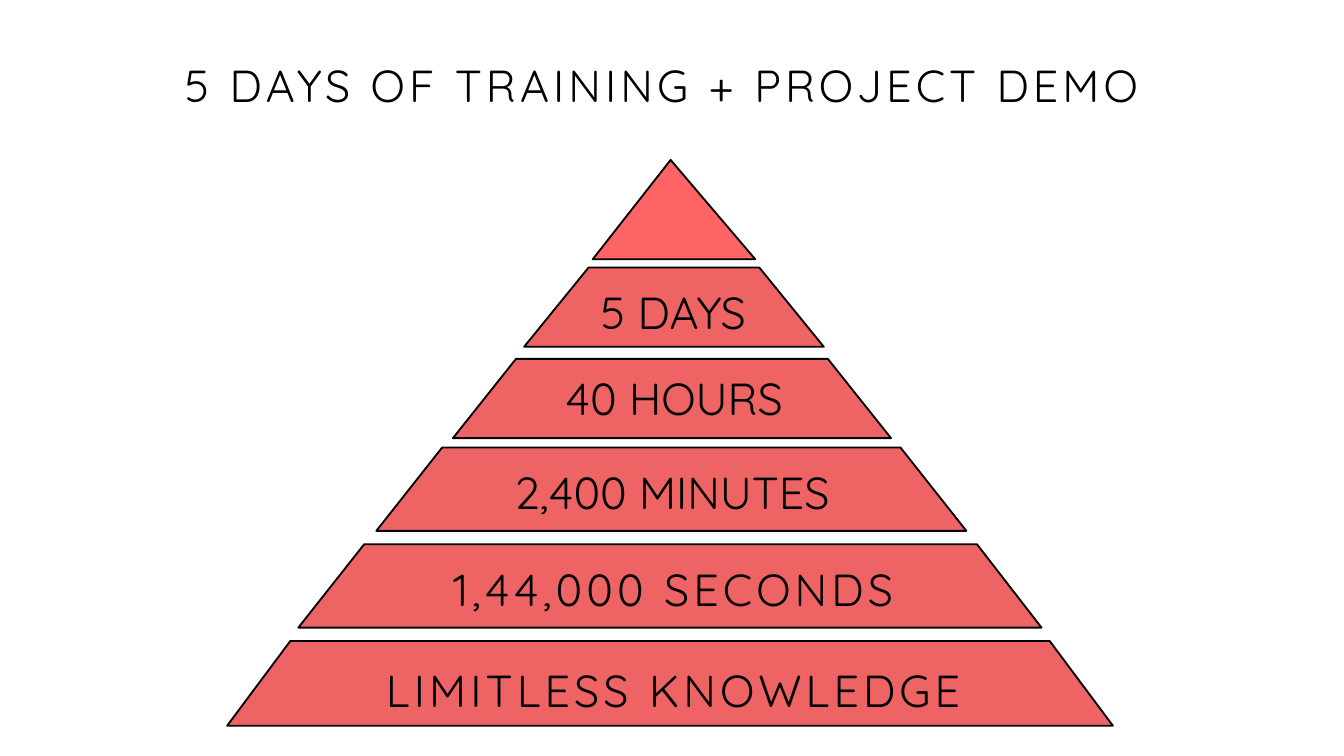
from dataclasses import dataclass

from pptx import Presentation
from pptx.dml.color import RGBColor
from pptx.enum.text import MSO_ANCHOR as Anchor, PP_ALIGN as Align
from pptx.slide import Slide
from pptx.util import Inches, Pt

FONT = "Quicksand"
BLACK = "000000"
CORAL = "EE6464"
BRIGHT_CORAL = "FF6464"


@dataclass(frozen=True)
class Label:
    text: str
    left: float
    top: float
    width: float
    height: float
    spacing: float = 0
    line_spacing: float = 1.0
    inset_right: float = 0
    inset_bottom: float = 0


@dataclass(frozen=True)
class Tier:
    top: float
    bottom: float
    top_left: float
    top_right: float
    bottom_left: float
    bottom_right: float
    label: Label | None = None
    fill: str = CORAL


def color(value: str) -> RGBColor:
    return RGBColor.from_string(value)


def draw_label(slide: Slide, label: Label) -> None:
    box = slide.shapes.add_textbox(
        Inches(label.left), Inches(label.top), Inches(label.width), Inches(label.height)
    )
    frame = box.text_frame
    frame.text = label.text
    frame.word_wrap = True
    frame.vertical_anchor = Anchor.MIDDLE
    frame.margin_left = frame.margin_top = Inches(0)
    frame.margin_right = Inches(label.inset_right)
    frame.margin_bottom = Inches(label.inset_bottom)
    line = frame.paragraphs[0]
    line.alignment = Align.CENTER
    line.line_spacing = label.line_spacing
    words = line.runs[0]
    words.font.name = FONT
    words.font.size = Pt(24)
    words.font.color.rgb = color(BLACK)
    if label.spacing:
        words.font._element.set("spc", str(round(label.spacing * 100)))


def draw_tier(slide: Slide, tier: Tier) -> None:
    corners = [(tier.top_left, tier.top)]
    if tier.top_right > tier.top_left:
        corners.append((tier.top_right, tier.top))
    corners.append((tier.bottom_right, tier.bottom))
    outline = slide.shapes.build_freeform(
        Inches(tier.bottom_left), Inches(tier.bottom), scale=1.0
    )
    outline.add_line_segments([(Inches(x), Inches(y)) for x, y in corners], close=True)
    block = outline.convert_to_shape()
    block.shadow.inherit = False
    block.fill.solid()
    block.fill.fore_color.rgb = color(tier.fill)
    block.line.color.rgb = color(BLACK)
    block.line.width = Pt(1)
    if tier.label:
        draw_label(slide, tier.label)


TITLE = Label("5 DAYS OF TRAINING + PROJECT DEMO", 0, 0.18, 10, 1.26,
              2.2, 1.1, inset_right=0.15, inset_bottom=0.4)

PYRAMID = [
    Tier(1.19, 1.93, 4.99, 4.99, 4.41, 5.62, fill=BRIGHT_CORAL),
    Tier(1.99, 2.58, 4.38, 5.65, 3.9, 6.13,
         Label("5 DAYS", 4.14, 2.08, 1.74, 0.48)),
    Tier(2.67, 3.26, 3.84, 6.16, 3.37, 6.63,
         Label("40 HOURS", 3.94, 2.72, 2.15, 0.48)),
    Tier(3.33, 3.95, 3.29, 6.7, 2.8, 7.19,
         Label("2,400 MINUTES", 3.41, 3.42, 3.18, 0.48)),
    Tier(4.05, 4.67, 2.71, 7.27, 2.22, 7.75,
         Label("1,44,000 SECONDS", 1.34, 4.16, 7.34, 0.4, 2.2, 1.1)),
    Tier(4.77, 5.4, 2.16, 7.81, 1.69, 8.28,
         Label("LIMITLESS KNOWLEDGE", 1.34, 4.91, 7.34, 0.4, 2.2, 1.1)),
]


def main() -> None:
    deck = Presentation()
    deck.slide_width = Inches(10)
    deck.slide_height = Inches(10 * 9 / 16)
    slide = deck.slides.add_slide(deck.slide_layouts[6])
    draw_label(slide, TITLE)
    for tier in PYRAMID:
        draw_tier(slide, tier)
    deck.save("out.pptx")


if __name__ == "__main__":
    main()
